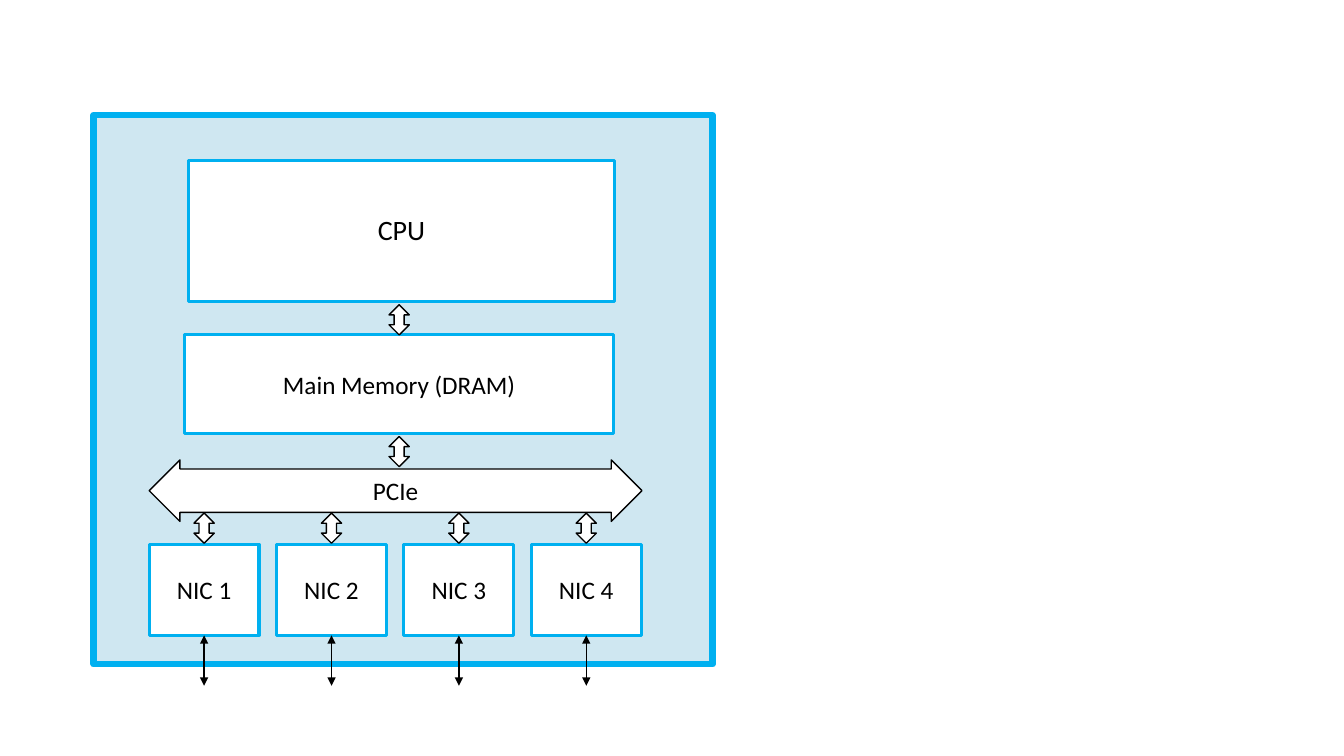
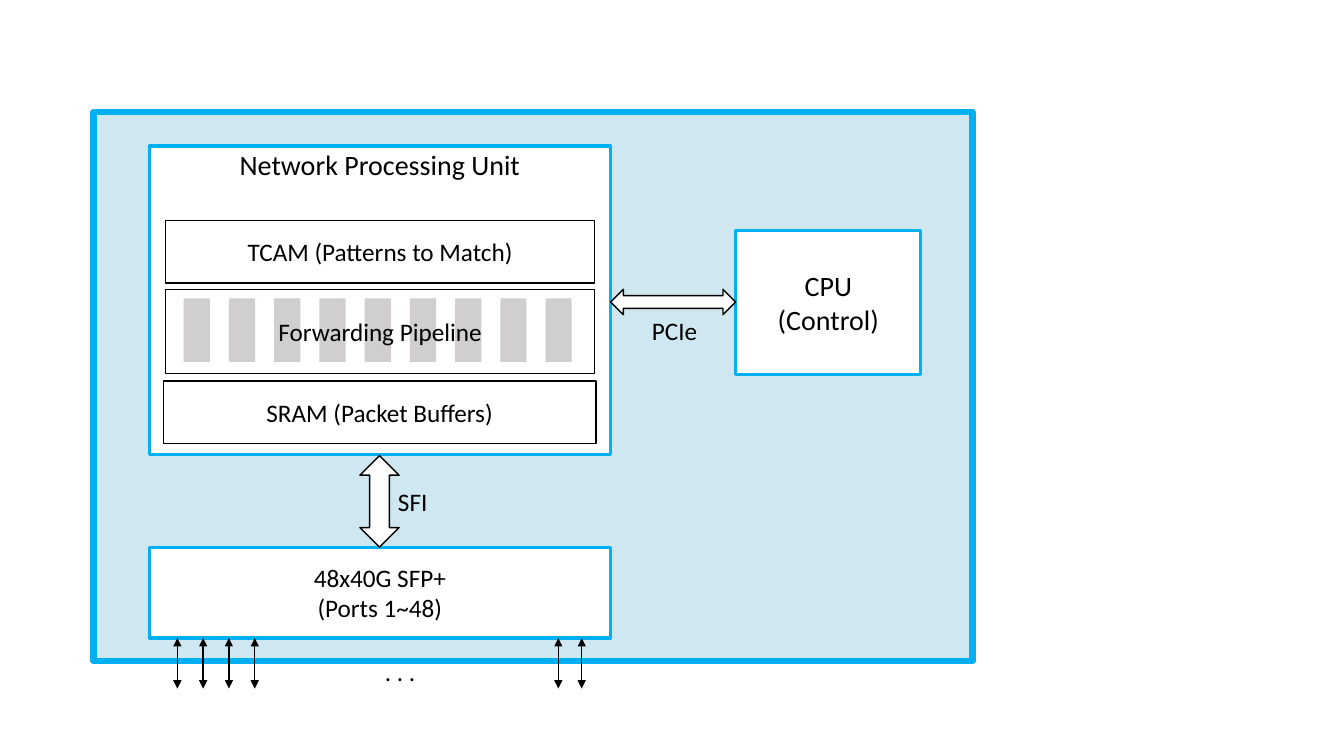
import collections
import lxml.etree
import pptx
import pptx.dml.color
import pptx.enum.shapes
import pptx.enum.text
import pptx.oxml.ns
import pptx.util

# Shared look
BLACK = pptx.dml.color.RGBColor(0x00, 0x00, 0x00)
WHITE = pptx.dml.color.RGBColor(0xFF, 0xFF, 0xFF)
ACCENT = pptx.dml.color.RGBColor(0x00, 0xB0, 0xF0)
CHASSIS_FILL = pptx.dml.color.RGBColor(0xCF, 0xE7, 0xF1)
STAGE_GRAY = pptx.dml.color.RGBColor(0xD0, 0xCE, 0xCE)
FONT = "Calibri"
LINK_LENGTH = 1.27

SHAPES = pptx.enum.shapes.MSO_SHAPE
ANCHOR = pptx.enum.text.MSO_ANCHOR
ALIGN = pptx.enum.text.PP_ALIGN
AUTO_SIZE = pptx.enum.text.MSO_AUTO_SIZE

CHASSIS = {"fill": CHASSIS_FILL, "line": ACCENT, "weight": 4.5}
MODULE = {"fill": WHITE, "line": ACCENT, "weight": 2.25}
PART = {"fill": WHITE, "line": BLACK, "weight": 1}
OUTLINE = {"fill": None, "line": BLACK, "weight": 1}
STAGE = {"fill": STAGE_GRAY, "line": None, "weight": 0}

Box = collections.namedtuple("Box", "left top width height")


def within(box, left, top, width, height):
    """Box whose offsets in cm are counted from the corner of another box."""
    return Box(box.left + left, box.top + top, width, height)


def in_cm(box):
    return [pptx.util.Cm(length) for length in box]


def write(frame, text, size=18, align=ALIGN.CENTER, spacing=None, **frame_format):
    for name, value in {"word_wrap": True, **frame_format}.items():
        setattr(frame, name, value)
    font_format = {"name": FONT, "size": pptx.util.Pt(size)}
    for number, line in enumerate(text.split("\n")):
        paragraph = frame.add_paragraph() if number else frame.paragraphs[0]
        paragraph.alignment = align
        paragraph.line_spacing = spacing
        run = paragraph.add_run()
        run.text = line
        for name, value in font_format.items():
            setattr(run.font, name, value)
        run.font.color.rgb = BLACK


def add_block(slide, box, look, text="", kind=SHAPES.RECTANGLE, **text_format):
    block = slide.shapes.add_shape(kind, *in_cm(box))
    block.shadow.inherit = False
    if look["fill"] is None:
        block.fill.background()
    else:
        block.fill.solid()
        block.fill.fore_color.rgb = look["fill"]
    if look["line"] is None:
        block.line.fill.background()
    else:
        block.line.color.rgb = look["line"]
        block.line.width = pptx.util.Pt(look["weight"])
    if text:
        write(block.text_frame, text,
              **{"vertical_anchor": ANCHOR.MIDDLE, **text_format})
    return block


def add_label(slide, box, text):
    label = slide.shapes.add_textbox(*in_cm(box))
    write(label.text_frame, text, align=ALIGN.LEFT, word_wrap=False,
          auto_size=AUTO_SIZE.SHAPE_TO_FIT_TEXT)


def add_link(slide, x, top):
    """Vertical cable with an arrowhead at both ends."""
    link = slide.shapes.add_connector(
        pptx.enum.shapes.MSO_CONNECTOR.STRAIGHT,
        *in_cm((x, top, x, top + LINK_LENGTH)))
    link.line.color.rgb = BLACK
    link.line.width = pptx.util.Pt(1)
    properties = link._element.spPr
    outline = properties.find(pptx.oxml.ns.qn("a:ln"))
    for end in ("a:headEnd", "a:tailEnd"):
        lxml.etree.SubElement(outline, pptx.oxml.ns.qn(end), type="triangle")
    lxml.etree.SubElement(properties, pptx.oxml.ns.qn("a:effectLst"))


def add_small_arrow(slide, center, top):
    width, height = 0.51, 0.76
    add_block(slide, Box(center - width / 2, top, width, height), PART,
              kind=SHAPES.UP_DOWN_ARROW)


def add_nics(slide, box, count=4):
    """Row of network cards, each tied to the bus above and a cable below."""
    width = 2.77
    pitch = (box.width - width) / (count - 1)
    for number in range(count):
        card = within(box, number * pitch, 0, width, box.height)
        center = card.left + width / 2
        add_block(slide, card, MODULE, f"NIC {number + 1}")
        add_small_arrow(slide, center, card.top - 0.79)
        add_link(slide, center, card.top + card.height)


def add_server(slide, box):
    add_block(slide, box, CHASSIS)

    # Processor, memory and bus
    add_block(slide, within(box, 2.39, 1.14, 10.74, 3.56), MODULE, "CPU",
              size=20, spacing=0.9)
    memory = within(box, 2.29, 5.54, 10.82, 2.49)
    add_block(slide, memory, MODULE, "Main Memory (DRAM)")
    bus = add_block(slide, within(box, 1.4, 8.69, 12.42, 1.55), PART, "PCIe",
                    kind=SHAPES.LEFT_RIGHT_ARROW)
    bus.adjustments[0] = 0.705
    for offset in (4.78, 8.1):
        add_small_arrow(slide, memory.left + memory.width / 2, box.top + offset)

    # Network cards
    add_nics(slide, within(box, 1.4, 10.82, 12.4, 2.29))


def add_pipeline(slide, box, stages=9):
    for number in range(stages):
        add_block(slide, within(box, 0.46 + 1.14 * number, 0.23, 0.66, 1.6), STAGE)
    add_block(slide, box, OUTLINE, "Forwarding Pipeline")


def add_network_processor(slide, box):
    add_block(slide, box, MODULE, "Network Processing Unit", size=20, spacing=0.9,
              vertical_anchor=ANCHOR.TOP)
    add_block(slide, within(box, 0.41, 1.88, 10.82, 1.57), PART,
              "TCAM (Patterns to Match)")
    add_block(slide, within(box, 0.36, 5.92, 10.9, 1.57), PART,
              "SRAM (Packet Buffers)")
    add_pipeline(slide, within(box, 0.41, 3.61, 10.82, 2.13))


def add_ports(slide, box):
    add_block(slide, box, MODULE, "48x40G SFP+\n(Ports 1~48)")
    first_ports = [0.71 + 0.65 * number for number in range(4)]
    last_ports = [10.31, 10.9]
    for offset in first_ports + last_ports:
        add_link(slide, box.left + offset, box.top + box.height)
    add_label(slide, within(box, 5.69, 2.62, 1.3, 1.02), ". . .")


def add_switch(slide, box):
    add_block(slide, box, CHASSIS)

    # Forwarding and control
    add_network_processor(slide, within(box, 1.4, 0.86, 11.63, 7.77))
    add_block(slide, within(box, 16.18, 3, 4.67, 3.61), MODULE, "CPU\n(Control)",
              size=20)
    add_block(slide, within(box, 13.03, 4.47, 3.15, 0.64), PART,
              kind=SHAPES.LEFT_RIGHT_ARROW)
    add_label(slide, within(box, 13.82, 5, 1.68, 1.02), "PCIe")

    # Ports and their interface
    add_ports(slide, within(box, 1.4, 10.97, 11.63, 2.29))
    add_block(slide, within(box, 6.71, 8.66, 0.99, 2.31), PART,
              kind=SHAPES.UP_DOWN_ARROW)
    add_label(slide, within(box, 7.42, 9.32, 1.27, 1.02), "SFI")


# Deck
deck = pptx.Presentation()
deck.slide_width = pptx.util.Cm(33.87)
deck.slide_height = pptx.util.Cm(19.05)
blank = deck.slide_layouts[6]
add_server(deck.slides.add_slide(blank), Box(2.36, 2.9, 15.6, 13.84))
add_switch(deck.slides.add_slide(blank), Box(2.36, 2.82, 22.15, 13.84))
deck.save("out.pptx")
